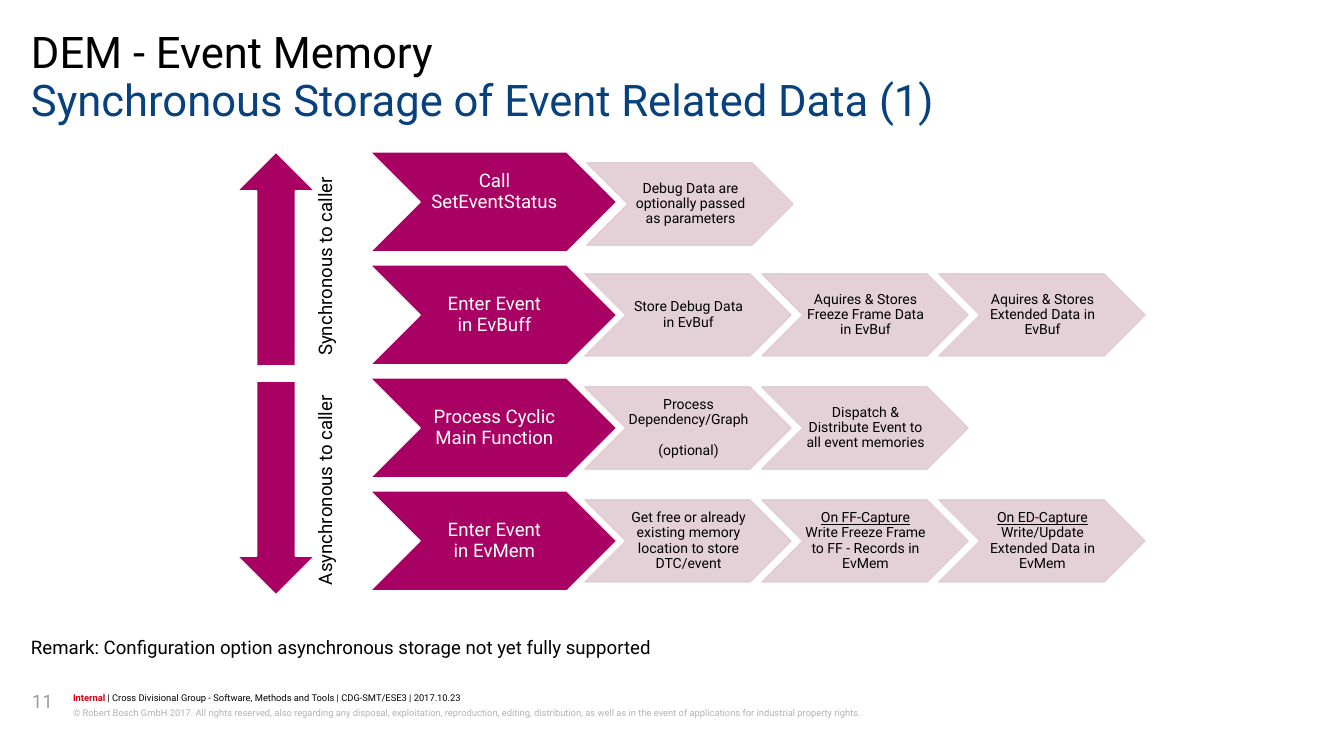
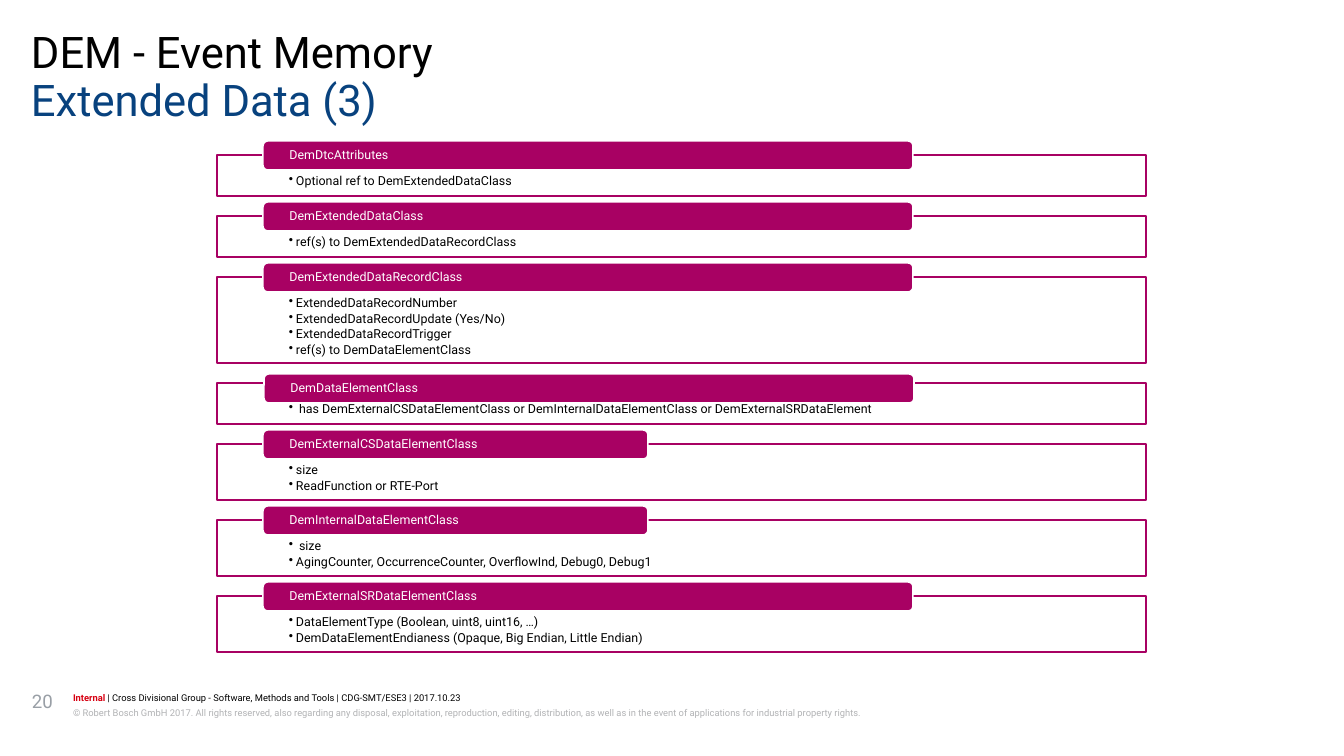
from lxml.etree import SubElement as Sub
from pptx import Presentation
from pptx.dml.color import RGBColor as Rgb
from pptx.enum.shapes import MSO_SHAPE as Kind
from pptx.enum.text import MSO_ANCHOR as Anchor, PP_ALIGN as Align
from pptx.oxml.ns import qn
from pptx.util import Pt

PX = 914400 / 112
FONT = "Roboto"
TONES = {
    "black": "000000", "white": "FFFFFF", "blue": "08427E", "plum": "A80163",
    "pink": "E1CCD3", "red": "D70012", "gray": "999FA6", "pale": "B2B3B5",
}

TOPIC = "DEM - Event Memory"
FOOT = [[
    ("Internal ", "red", {"bold": True}),
    ("| Cross Divisional Group - Software, Methods and Tools | CDG-SMT/ESE3 | 2017.10.23", "black", {}),
]]
RIGHTS = ["© Robert Bosch GmbH 2017. All rights reserved, also regarding any disposal, "
          "exploitation, reproduction, editing, distribution, as well as in the event of "
          "applications for industrial property rights."]
REMARK = "Remark: Configuration option asynchronous storage not yet fully supported"

LINED = {"underline": True}
ROWS = [
    {"head": ["Call", "SetEventStatus"], "low": 20, "nudge": 2,
     "steps": [["Debug Data are optionally passed as parameters"]]},
    {"head": ["Enter Event", "in EvBuff"],
     "steps": [["Store Debug Data in EvBuf"],
               ["Aquires & Stores Freeze Frame Data in EvBuf"],
               ["Aquires & Stores Extended Data in EvBuf"]]},
    {"head": ["Process Cyclic Main Function"], "lift": 10,
     "steps": [["Process Dependency/Graph", "(optional)"],
               ["Dispatch & Distribute Event to all event memories"]]},
    {"head": ["Enter Event", "in EvMem"],
     "steps": [["Get free or already existing memory location to store DTC/event"],
               [[("On FF-Capture", "black", LINED)],
                "Write Freeze Frame to FF - Records in EvMem"],
               [[("On ED-Capture", "black", LINED)],
                "Write/Update Extended Data in EvMem"]]},
]
PHASES = [
    ("Synchronous to caller", Kind.UP_ARROW, 152),
    ("Asynchronous to caller", Kind.DOWN_ARROW, 381),
]

LONG, SHORT = 650, 385
PANELS = [
    ("DemDtcAttributes", LONG, (0, 0), ["Optional ref to DemExtendedDataClass"]),
    ("DemExtendedDataClass", LONG, (0, 0), ["ref(s) to DemExtendedDataRecordClass"]),
    ("DemExtendedDataRecordClass", LONG, (0, 0), [
        "ExtendedDataRecordNumber", "ExtendedDataRecordUpdate (Yes/No)",
        "ExtendedDataRecordTrigger", "ref(s) to DemDataElementClass"]),
    ("DemDataElementClass", LONG, (1, 5), [
        " has DemExternalCSDataElementClass or DemInternalDataElementClass"
        " or DemExternalSRDataElement"]),
    ("DemExternalCSDataElementClass", SHORT, (0, 0), ["size", "ReadFunction or RTE-Port"]),
    ("DemInternalDataElementClass", SHORT, (0, 0), [
        " size", "AgingCounter, OccurrenceCounter, OverflowInd, Debug0, Debug1"]),
    ("DemExternalSRDataElementClass", LONG, (0, 0), [
        "DataElementType (Boolean, uint8, uint16, …)",
        "DemDataElementEndianess (Opaque, Big Endian, Little Endian)"]),
]


def emu(*nums):
    return [round(n * PX) for n in nums]


def put(shape, paras, size=12, tone="black", align=Align.LEFT, anchor=Anchor.TOP,
        pad=(0, 0, 0, 0), lead=0.9, lift=0, dots=False, wrap=True, turn=None):
    frame = shape.text_frame
    frame.word_wrap = wrap
    frame.vertical_anchor = anchor
    (frame.margin_left, frame.margin_top,
     frame.margin_right, frame.margin_bottom) = emu(*pad)
    if turn:
        frame._txBody.bodyPr.set("vert", turn)
    for i, para in enumerate(paras):
        line = frame.add_paragraph() if i else frame.paragraphs[0]
        line.alignment = align
        line.line_spacing = lead
        if i and lift:
            line.space_before = Pt(lift)
        if dots:
            props = line._p.get_or_add_pPr()
            dent = emu(7)[0]
            props.set("marL", str(dent))
            props.set("indent", str(-dent))
            Sub(props, qn("a:buChar")).set("char", "•")
        runs = [(para, tone, {})] if isinstance(para, str) else para
        for words, hue, marks in runs:
            run = line.add_run()
            run.text = words
            run.font.name = FONT
            run.font.size = Pt(size)
            run.font.color.rgb = Rgb.from_string(TONES[hue])
            for key, value in marks.items():
                setattr(run.font, key, value)


def note(slide, area, paras, **style):
    put(slide.shapes.add_textbox(*emu(*area)), paras, **style)


def draw(slide, kind, area, fill, edge, veil=0):
    shape = slide.shapes.add_shape(kind, *emu(*area))
    shape.shadow.inherit = False
    shape.fill.solid()
    shape.fill.fore_color.rgb = Rgb.from_string(TONES[fill])
    shape.line.color.rgb = Rgb.from_string(TONES[edge])
    shape.line.width = Pt(1)
    for hue in list(shape._element.spPr.iter(qn("a:srgbClr")))[:veil]:
        Sub(hue, qn("a:alpha")).set("val", "90000")
    return shape


def start(deck, title, page):
    slide = deck.slides.add_slide(deck.slide_layouts[6])
    note(slide, (73, 691, 1121, 13), FOOT, size=6, lead=1.07)
    note(slide, (73, 706, 1121, 27), RIGHTS, size=6, tone="pale", lead=1.07)
    note(slide, (32, 690, 36, 50), [page], tone="gray", lead=1, wrap=False)
    for words, top, tone in ((TOPIC, 31, "black"), (title, 79, "blue")):
        note(slide, (31, top, 1280, 47), [words], size=28, tone=tone, lead=0.89)
    return slide


def flow(slide):
    note(slide, (31, 636, 1280, 24), [REMARK], lead=1)
    mid = {"align": Align.CENTER, "anchor": Anchor.MIDDLE}
    for i, row in enumerate(ROWS):
        top = 152 + 113 * i
        head = draw(slide, Kind.CHEVRON, (370, top, 247, 100), "plum", "white")
        put(head, row["head"], tone="white", pad=(2, 1, 0, 1 + row.get("low", 0)), **mid)
        nudge = row.get("nudge", 0)
        for j, words in enumerate(row["steps"]):
            area = (585 + nudge + 177 * j, top + 9 + nudge, 206, 82)
            step = draw(slide, Kind.CHEVRON, area, "pink", "pink", veil=2)
            put(step, words, size=9, pad=(1, 1, 0, 1), lift=row.get("lift", 0), **mid)
    for words, kind, top in PHASES:
        draw(slide, kind, (237, top, 78, 214), "plum", "white")
        note(slide, (301, top, 50, 214), [words], anchor=Anchor.MIDDLE,
             pad=(10, 0, 10, 10), turn="vert270")


def stack(slide):
    top = 155
    for name, wide, (right, down), items in PANELS:
        tall = 26 + 15 * len(items)
        panel = draw(slide, Kind.RECTANGLE, (217, top, 929, tall), "white", "plum", veil=1)
        put(panel, items, size=8, pad=(72, 20, 72, 7), lift=1.4, dots=True)
        area = (263 + right, top - 14 + down, wide, 29)
        tag = draw(slide, Kind.ROUNDED_RECTANGLE, area, "plum", "white")
        put(tag, [name], size=8, tone="white", anchor=Anchor.MIDDLE, pad=(25, 0, 25, 0))
        top += tall + 20


def main():
    deck = Presentation()
    deck.slide_width, deck.slide_height = emu(1344, 756)
    flow(start(deck, "Synchronous Storage of Event Related Data (1)", "11"))
    stack(start(deck, "Extended Data (3)", "20"))
    deck.save("out.pptx")


if __name__ == "__main__":
    main()
